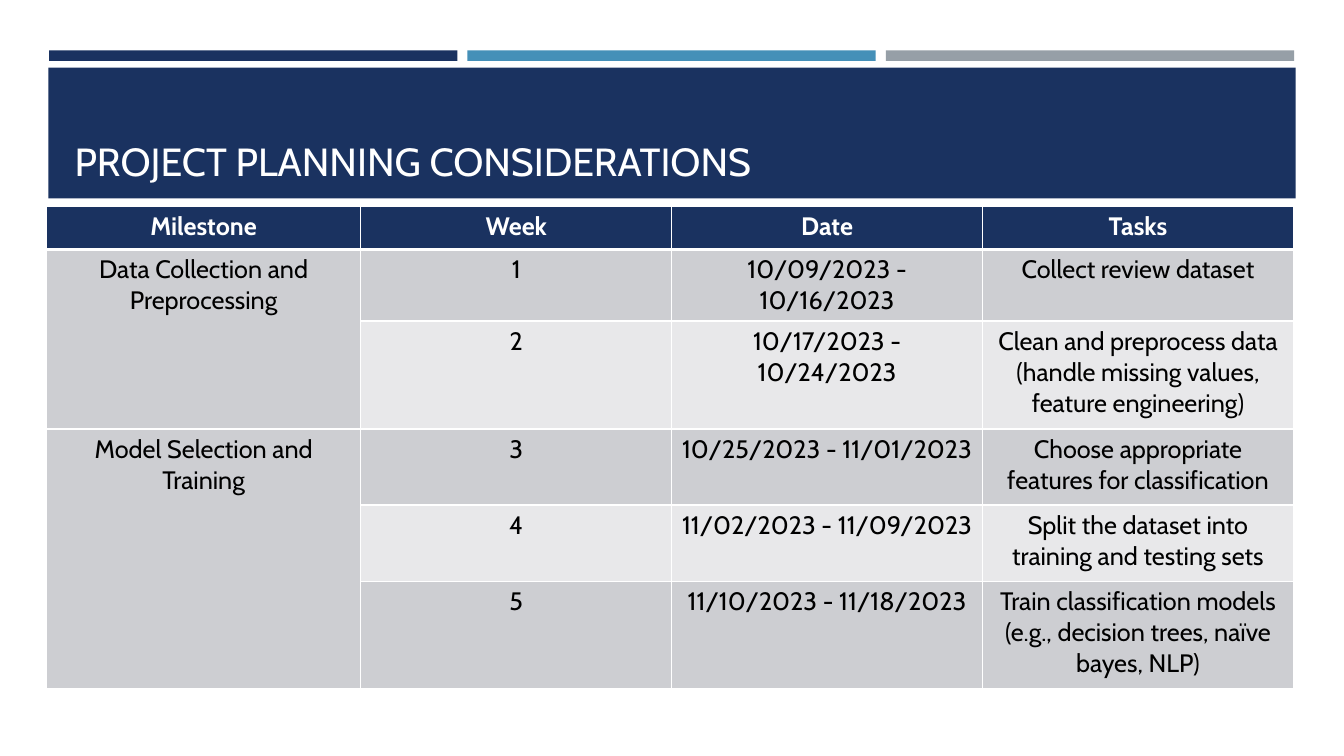
"""Builds the project planning slide with its milestone table."""
from dataclasses import dataclass

from lxml import etree
from pptx import Presentation
from pptx.dml.color import RGBColor
from pptx.enum.shapes import MSO_SHAPE
from pptx.enum.text import MSO_ANCHOR, MSO_AUTO_SIZE, PP_ALIGN
from pptx.oxml.ns import qn
from pptx.util import Inches, Pt

RECT = MSO_SHAPE.RECTANGLE
BOTTOM, NO_FIT = MSO_ANCHOR.BOTTOM, MSO_AUTO_SIZE.NONE
LEFT, CENTER = PP_ALIGN.LEFT, PP_ALIGN.CENTER
SLIDE_W, SLIDE_H = Inches(13.33), Inches(7.5)


@dataclass(frozen=True)
class Theme:
    """Colours, font and type sizes of the slide."""
    navy: str = "1A3260"
    blue: str = "4590B8"
    grey: str = "969FA7"
    white: str = "FFFFFF"
    black: str = "000000"
    odd_row: str = "CDCED2"
    even_row: str = "E8E8EA"
    font: str = "Cabin"
    title_size: int = 28
    table_size: int = 18
    thin_rule: int = 1
    thick_rule: int = 3


@dataclass(frozen=True)
class Box:
    """A rectangle in percent of the slide's width and height."""
    x: float
    y: float
    w: float
    h: float

    def emu(self) -> dict[str, int]:
        """Gives the position and size as shape attributes."""
        return {"left": share(self.x, SLIDE_W), "top": share(self.y, SLIDE_H),
                "width": share(self.w, SLIDE_W), "height": share(self.h, SLIDE_H)}


@dataclass(frozen=True)
class Week:
    """One table row; a milestone spans the given number of weeks."""
    dates: str
    tasks: str
    height: float
    milestone: str = ""
    span: int = 1


THEME = Theme()
BAND = Box(3.6, 8.93, 92.8, 17.33)
TITLE = Box(4.8, 10.27, 90.47, 14.8)
BARS = [(Box(3.65 + 31.13 * i, 6.67, 30.38, 1.4), color)
        for i, color in enumerate((THEME.navy, THEME.blue, THEME.grey))]
HEADERS = ("Milestone", "Week", "Date", "Tasks")
HEADER_H = 5.73
COLUMNS = (23.4, 23.13, 23.13, 23.13)
WEEKS = (
    Week("10/09/2023 - 10/16/2023", "Collect review dataset", 9.47,
         "Data Collection and Preprocessing", 2),
    Week("10/17/2023 - 10/24/2023",
         "Clean and preprocess data (handle missing values, feature engineering)", 14.27),
    Week("10/25/2023 - 11/01/2023", "Choose appropriate features for classification", 10.07,
         "Model Selection and Training", 3),
    Week("11/02/2023 - 11/09/2023", "Split the dataset into training and testing sets", 10.07),
    Week("11/10/2023 - 11/18/2023",
         "Train classification models (e.g., decision trees, naïve bayes, NLP)", 14.27),
)


def share(percent: float, length: int) -> int:
    """Turns a percentage of a length into whole units."""
    return round(percent * length / 100)


def apply(target, values: dict) -> None:
    """Sets every attribute named in the format values."""
    for name, value in values.items():
        setattr(target, name, value)


def write(tf, text: str, size: int, color: str, align, bold: bool = False) -> None:
    """Writes one formatted paragraph into a text frame."""
    p = tf.paragraphs[0]
    p.alignment = align
    r = p.add_run()
    r.text = text
    apply(r.font, {"name": THEME.font, "size": Pt(size), "bold": bold})
    r.font.color.rgb = RGBColor.from_string(color)


def add_block(s, box: Box, color: str) -> None:
    """Adds a plain filled rectangle."""
    sp = s.shapes.add_shape(RECT, **box.emu())
    sp.shadow.inherit = False
    sp.fill.solid()
    sp.fill.fore_color.rgb = RGBColor.from_string(color)
    sp.line.fill.background()


def add_title(s, text: str) -> None:
    """Places and formats the title placeholder in front of the band."""
    sp = s.shapes.title
    s.shapes._spTree.append(sp._element)
    apply(sp, TITLE.emu())
    tf = sp.text_frame
    apply(tf, {"word_wrap": True, "auto_size": NO_FIT, "vertical_anchor": BOTTOM})
    write(tf, text, THEME.title_size, THEME.white, LEFT)


def add_borders(cell, top: int, bottom: int) -> None:
    """Draws white rules on all four sides of a cell."""
    tc_pr = cell._tc.get_or_add_tcPr()
    widths = {"lnL": THEME.thin_rule, "lnR": THEME.thin_rule, "lnT": top, "lnB": bottom}
    for i, (side, width) in enumerate(widths.items()):
        ln = etree.Element(qn(f"a:{side}"), w=str(Pt(width)))
        fill = etree.SubElement(ln, qn("a:solidFill"))
        etree.SubElement(fill, qn("a:srgbClr"), val=THEME.white)
        tc_pr.insert(i, ln)


def fill_cell(cell, text: str, row: int) -> None:
    """Formats one cell by its row and writes its text."""
    header = row == 0
    band = THEME.odd_row if row % 2 else THEME.even_row
    cell.fill.solid()
    cell.fill.fore_color.rgb = RGBColor.from_string(THEME.navy if header else band)
    add_borders(cell, THEME.thick_rule if row == 1 else THEME.thin_rule,
                THEME.thick_rule if header else THEME.thin_rule)
    if text:
        write(cell.text_frame, text, THEME.table_size,
              THEME.white if header else THEME.black, CENTER, header)


def add_plan(s) -> None:
    """Adds the table of milestones, weeks, dates and tasks."""
    heights = [HEADER_H] + [week.height for week in WEEKS]
    box = Box(3.45, 27.27, sum(COLUMNS), sum(heights))
    table = s.shapes.add_table(len(heights), len(COLUMNS), **box.emu()).table
    for column, width in zip(table.columns, COLUMNS):
        column.width = share(width, SLIDE_W)
    for row, height in zip(table.rows, heights):
        row.height = share(height, SLIDE_H)
    rows = [HEADERS] + [(week.milestone, str(n), week.dates, week.tasks)
                        for n, week in enumerate(WEEKS, 1)]
    for i, texts in enumerate(rows):
        for j, text in enumerate(texts):
            fill_cell(table.cell(i, j), text, i)
    for n, week in enumerate(WEEKS, 1):
        if week.span > 1:
            table.cell(n, 0).merge(table.cell(n + week.span - 1, 0))


def main() -> None:
    """Builds and saves the slide."""
    prs = Presentation()
    apply(prs, {"slide_width": SLIDE_W, "slide_height": SLIDE_H})
    s = prs.slides.add_slide(prs.slide_layouts[5])
    for box, color in [*BARS, (BAND, THEME.navy)]:
        add_block(s, box, color)
    add_title(s, "PROJECT PLANNING CONSIDERATIONS")
    add_plan(s)
    prs.save("out.pptx")


if __name__ == "__main__":
    main()
